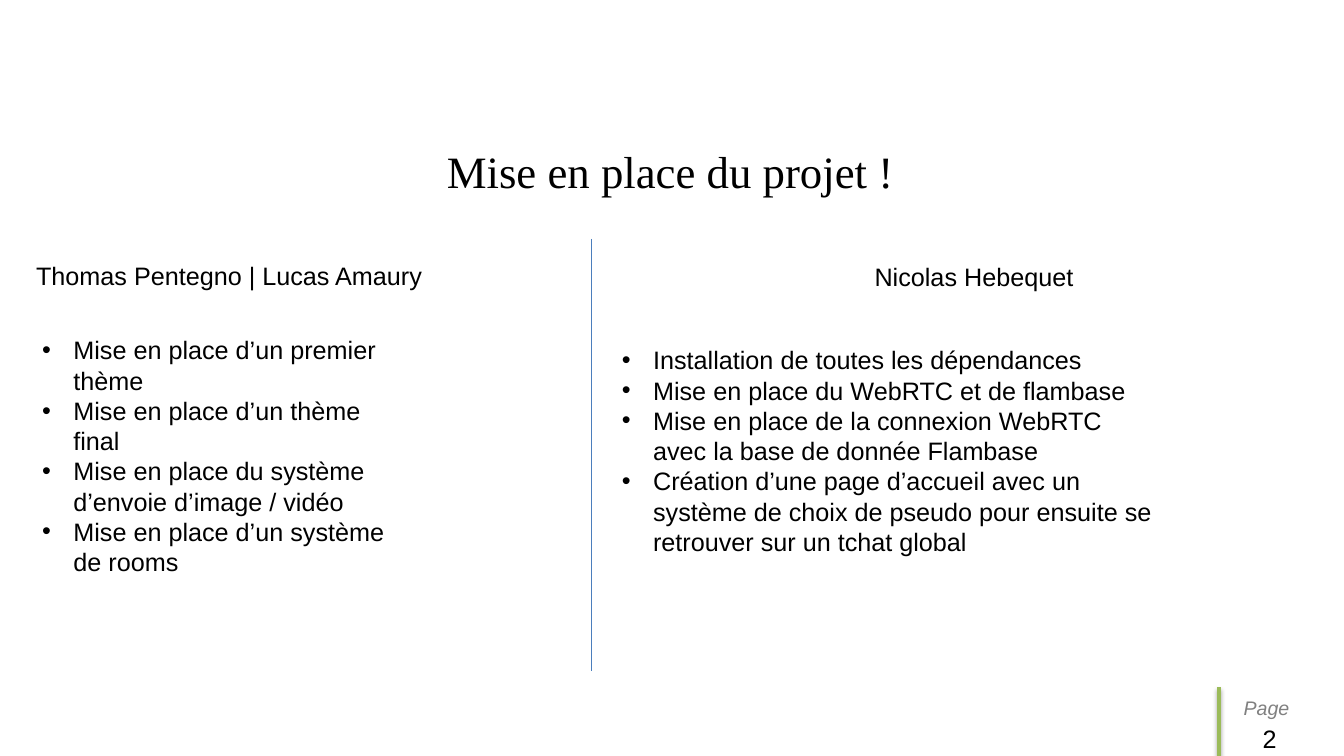
from lxml import etree
from pptx import Presentation
from pptx.dml.color import RGBColor
from pptx.enum.shapes import MSO_CONNECTOR
from pptx.enum.text import PP_ALIGN
from pptx.oxml.ns import qn
from pptx.util import Cm, Pt

LINE = MSO_CONNECTOR.STRAIGHT
LEFT, MID = PP_ALIGN.LEFT, PP_ALIGN.CENTER
BLACK, GREY, GREEN, BLUE = "000000", "808080", "9BBB59", "4B7EBC"


def color(code):
    return RGBColor.from_string(code)


def node(root, tag, **attrs):
    return etree.SubElement(root, qn(tag), attrs)


class Page:
    def __init__(self, slide, font="Arial", size=18):
        self.slide, self.font, self.size = slide, font, size

    def text(self, box, lines, font=None, size=None, ink=BLACK,
             align=LEFT, slant=False, dots=False):
        frame = self.slide.shapes.add_textbox(*map(Cm, box)).text_frame
        frame.word_wrap = True
        frame.text = "\n".join(lines)
        for para in frame.paragraphs:
            para.alignment = align
            para.font.name = font or self.font
            para.font.size = Pt(size or self.size)
            para.font.color.rgb = color(ink)
            para.font.italic = slant
            if dots:
                self.dot(para)

    def dot(self, para):
        props = para._p.get_or_add_pPr()
        props.set("marL", str(Cm(0.79)))
        props.set("indent", str(-Cm(0.79)))
        mark = etree.Element(qn("a:buChar"), char="•")
        face = etree.Element(qn("a:buFont"), typeface=self.font)
        props.insert(0, face)
        props.insert(1, mark)

    def rule(self, left, top, end, ink, width, shade=False):
        line = self.slide.shapes.add_connector(
            LINE, Cm(left), Cm(top), Cm(left), Cm(end))
        line.line.color.rgb = color(ink)
        line.line.width = Pt(width)
        fx = node(line._element.spPr, "a:effectLst")
        if shade:
            cast = node(fx, "a:outerShdw", blurRad=str(Pt(3.1)),
                        dist=str(Pt(1.8)), dir="5400000", rotWithShape="0")
            tone = node(cast, "a:srgbClr", val=BLACK)
            node(tone, "a:alpha", val="35000")


deck = Presentation()
deck.slide_width, deck.slide_height = Cm(33.87), Cm(19.05)
page = Page(deck.slides.add_slide(deck.slide_layouts[6]))

page.text((1.02, 3.5, 31.75, 2.36), ["Mise en place du projet !"],
          font="Times New Roman", size=32, align=MID)
page.text((31.09, 17.42, 2.44, 0.86), ["Page"], size=14, ink=GREY, slant=True)
page.text((31.57, 18.11, 1.93, 1.02), ["2"])
page.rule(30.71, 17.32, 19.05, GREEN, 3, shade=True)
page.rule(14.91, 6.02, 16.92, BLUE, 0.75)

TEAMS = [
    ("Thomas Pentegno | Lucas Amaury", (0.66, 6.43, 10.26, 1.02),
     (0.81, 8.31, 9.42, 6.4), [
         "Mise en place d’un premier thème",
         "Mise en place d’un thème final",
         "Mise en place du système d’envoie d’image / vidéo",
         "Mise en place d’un système de rooms"]),
    ("Nicolas Hebequet", (21.79, 6.45, 11, 1.02),
     (15.42, 8.56, 13.87, 5.64), [
         "Installation de toutes les dépendances",
         "Mise en place du WebRTC et de flambase",
         "Mise en place de la connexion WebRTC "
         "avec la base de donnée Flambase",
         "Création d’une page d’accueil avec un système de choix "
         "de pseudo pour ensuite se retrouver sur un tchat global"]),
]
for name, head, body, tasks in TEAMS:
    page.text(head, [name])
    page.text(body, tasks, dots=True)

deck.save("out.pptx")
